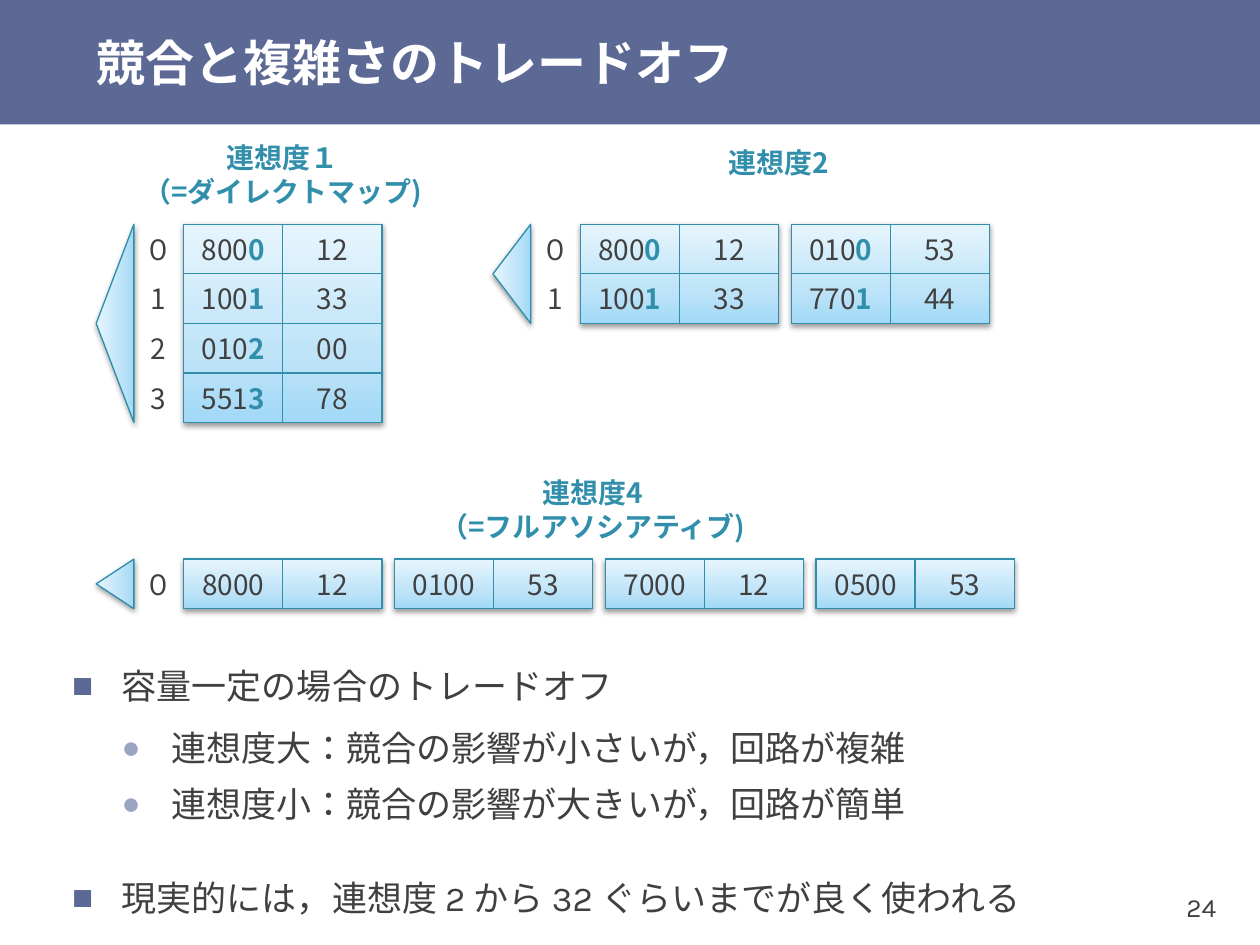
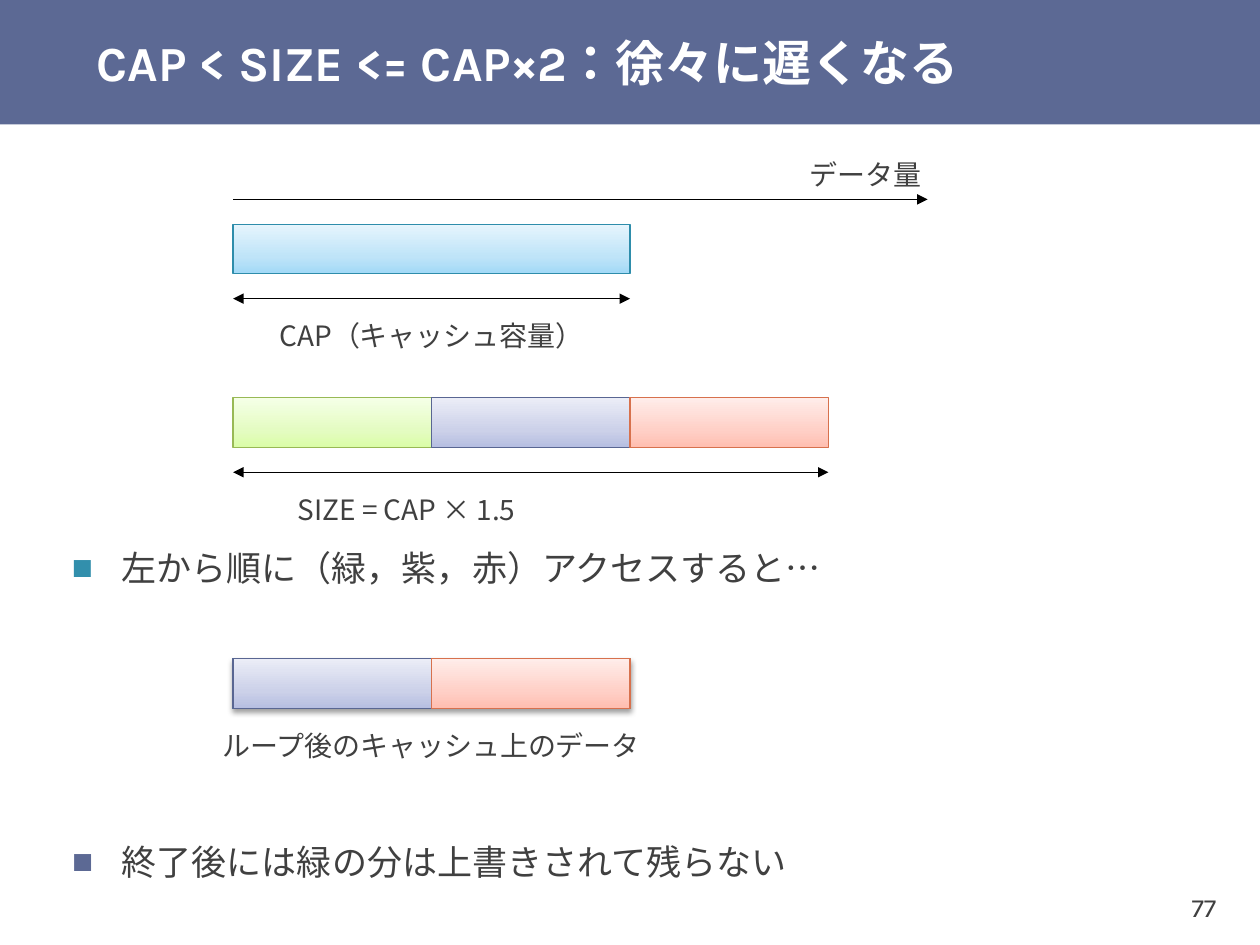
from dataclasses import dataclass

from lxml import etree
from pptx import Presentation
from pptx.dml.color import RGBColor
from pptx.enum.lang import MSO_LANGUAGE_ID
from pptx.enum.shapes import MSO_CONNECTOR, MSO_SHAPE
from pptx.enum.text import MSO_ANCHOR, MSO_AUTO_SIZE, PP_ALIGN
from pptx.oxml import parse_xml
from pptx.oxml.ns import nsdecls, qn
from pptx.util import Pt

PX = 3600  # EMU per px, so 100 px make one centimetre
RECTANGLE, TRIANGLE = MSO_SHAPE.RECTANGLE, MSO_SHAPE.ISOSCELES_TRIANGLE
STRAIGHT = MSO_CONNECTOR.STRAIGHT
LEFT, CENTER, RIGHT = PP_ALIGN.LEFT, PP_ALIGN.CENTER, PP_ALIGN.RIGHT
MIDDLE = MSO_ANCHOR.MIDDLE
NO_FIT = MSO_AUTO_SIZE.NONE
JAPANESE = MSO_LANGUAGE_ID.JAPANESE


@dataclass(frozen=True)
class Tint:
    """Gradient from bottom to top, with its outline."""
    bottom: str
    middle: str
    top: str
    outline: str


@dataclass(frozen=True)
class Theme:
    band: str = "5C6994"
    text: str = "404040"
    white: str = "FFFFFF"
    black: str = "000000"
    accent: str = "328FAC"
    sub_bullet: str = "9BA4C1"
    blue: Tint = Tint("A2D9F7", "BFE4F8", "E6F5FD", "2E8DAB")
    green: Tint = Tint("DAFDA7", "E4FCC2", "F5FFE7", "98B955")
    purple: Tint = Tint("B6BEE1", "CCD1E9", "EBEDF7", "596692")
    red: Tint = Tint("FFBEB0", "FFD0C7", "FFEDEA", "D7714D")
    main_font: str = "Karla"
    figure_font: str = "Noto Sans CJK JP"
    title_size: int = 28
    body_size: int = 20
    figure_size: int = 16
    number_size: int = 15
    line_width: float = 0.75


# Figure grid
UNIT = 100          # row height
CELL = 200          # cell width
WAY_PITCH = 425     # from one way to the next
BAR_LEFT = 470


class Deck:
    def __init__(self, theme):
        self.theme = theme
        self.presentation = Presentation()
        self.presentation.slide_width = 2540 * PX
        self.presentation.slide_height = 1905 * PX
        self.slide = None

    # Shared slide parts
    def add_slide(self, title, number):
        theme = self.theme
        layout = self.presentation.slide_layouts[1]
        self.slide = self.presentation.slides.add_slide(layout)
        band = self.shape(RECTANGLE, 0, 0, 2540, 251)
        band.fill.solid()
        band.fill.fore_color.rgb = RGBColor.from_string(theme.band)
        band.line.fill.background()
        self.slide.shapes._spTree.insert(2, band._element)

        heading = self.slide.shapes.title
        self.place(heading, 170, 0, 2370, 251)
        frame = heading.text_frame
        frame.margin_top = frame.margin_bottom = 0
        self.set_text(frame, [title], theme.main_font, theme.title_size,
                      theme.white, bold=True, align=LEFT)
        frame.word_wrap = True

        box = self.text_box(2270, 1753, 200, 152)
        box.text_frame.margin_left = box.text_frame.margin_right = 18 * PX
        self.set_text(box.text_frame, [str(number)], theme.main_font,
                      theme.number_size, theme.text, align=RIGHT)

    # Building blocks
    def place(self, shape, left, top, width, height):
        shape.left, shape.top = left * PX, top * PX
        shape.width, shape.height = width * PX, height * PX

    def shape(self, kind, left, top, width, height):
        shape = self.slide.shapes.add_shape(
            kind, left * PX, top * PX, width * PX, height * PX)
        shape.shadow.inherit = False
        return shape

    def text_box(self, left, top, width, height):
        return self.slide.shapes.add_textbox(
            left * PX, top * PX, width * PX, height * PX)

    def outline(self, shape, color):
        shape.line.color.rgb = RGBColor.from_string(color)
        shape.line.width = Pt(self.theme.line_width)

    def set_font(self, paragraph, name, size, color, bold=False):
        font = paragraph.font
        font.name, font.size, font.bold = name, Pt(size), bold
        font.color.rgb = RGBColor.from_string(color)
        font.language_id = JAPANESE

    def set_text(self, frame, lines, name, size, color, bold=False, align=CENTER):
        frame.word_wrap = False
        frame.auto_size = NO_FIT
        frame.vertical_anchor = MIDDLE
        for index, line in enumerate(lines):
            paragraph = frame.add_paragraph() if index else frame.paragraphs[0]
            paragraph.add_run().text = line
            paragraph.alignment = align
            if len(lines) > 1:
                paragraph.line_spacing = Pt(19)
            self.set_font(paragraph, name, size, color, bold)

    def label(self, left, top, *lines, width=CELL, heading=False):
        theme = self.theme
        box = self.text_box(left, top, width, UNIT)
        self.set_text(box.text_frame, lines, theme.figure_font, theme.figure_size,
                      theme.accent if heading else theme.text, bold=heading)

    # Bulleted lists
    def bullets(self, frame, items, marker_color=None):
        theme = self.theme
        frame.word_wrap = True
        frame.auto_size = NO_FIT
        frame.vertical_anchor = MIDDLE
        for index, (level, text) in enumerate(items):
            paragraph = frame.add_paragraph() if index else frame.paragraphs[0]
            paragraph.add_run().text = text
            paragraph.level = level
            paragraph.line_spacing = 1.1
            paragraph.space_before = Pt((3 if level else 24) if index else 0)
            paragraph.space_after = Pt(3 if level else 6)
            color = theme.sub_bullet if level else marker_color or theme.band
            properties = paragraph._p.get_or_add_pPr()
            properties.set("marL", str((level + 1) * UNIT * PX))
            properties.set("indent", str(-UNIT * PX))
            marker = etree.SubElement(properties, qn("a:buClr"))
            etree.SubElement(marker, qn("a:srgbClr"), val=color)
            etree.SubElement(properties, qn("a:buSzPct"),
                             val="90000" if level else "100000")
            etree.SubElement(properties, qn("a:buFont"), typeface="Arial")
            etree.SubElement(properties, qn("a:buChar"),
                             char="●" if level else "■")
            self.set_font(paragraph, theme.main_font, theme.body_size, theme.text)

    def body(self, top, items):
        placeholder = self.slide.placeholders[1]
        self.place(placeholder, 120, top, 2250, 176)
        self.bullets(placeholder.text_frame, items)

    # Figure elements
    def panel(self, left, top, width, height, tint, kind=RECTANGLE, shadow=False):
        shape = self.shape(kind, left, top, width, height)
        shape.fill.background()
        self.outline(shape, tint.outline)
        stops = "".join(
            f'<a:gs pos="{position}"><a:srgbClr val="{color}"/></a:gs>'
            for position, color in ((0, tint.bottom), (35000, tint.middle),
                                    (100000, tint.top)))
        gradient = parse_xml(
            f'<a:gradFill {nsdecls("a")} rotWithShape="1"><a:gsLst>{stops}'
            '</a:gsLst><a:lin ang="16200000" scaled="1"/></a:gradFill>')
        properties = shape._element.spPr
        properties.replace(properties.find(qn("a:noFill")), gradient)
        if shadow:
            properties.find(qn("a:effectLst")).append(parse_xml(
                f'<a:outerShdw {nsdecls("a")} blurRad="40000" dist="20000" '
                'dir="5400000" rotWithShape="0"><a:srgbClr val="000000">'
                '<a:alpha val="38000"/></a:srgbClr></a:outerShdw>'))
        return shape

    def cell(self, left, top, text, index=""):
        theme = self.theme
        shape = self.shape(RECTANGLE, left, top, CELL, UNIT)
        shape.fill.background()
        self.outline(shape, theme.accent)
        self.set_text(shape.text_frame, [text], theme.figure_font,
                      theme.figure_size, theme.text)
        if index:
            run = shape.text_frame.paragraphs[0].add_run()
            run.text = index
            run.font.bold = True
            run.font.color.rgb = RGBColor.from_string(theme.accent)

    def cache(self, left, top, ways, indexed=True):
        """Decoder, row numbers and one two-column block per way."""
        rows = len(ways[0])
        height = rows * UNIT
        for way, entries in enumerate(ways):
            way_left = left + way * WAY_PITCH
            self.panel(way_left, top, 2 * CELL, height, self.theme.blue, shadow=True)
            for row, (tag, data) in enumerate(entries):
                row_top = top + row * UNIT
                self.cell(way_left, row_top, tag, str(row) if indexed else "")
                self.cell(way_left + CELL, row_top, data)
        for row in range(rows):
            self.label(left - UNIT, top + row * UNIT, str(row) if row else "０",
                       width=UNIT)
        # The decoder is turned about its centre
        depth = 76
        decoder = self.panel(left - 138 - height // 2, top + (height - depth) // 2,
                             height, depth, self.theme.blue, TRIANGLE, shadow=True)
        decoder.rotation = 270

    def arrow(self, left, right, y, both=True):
        connector = self.slide.shapes.add_connector(
            STRAIGHT, left * PX, y * PX, right * PX, y * PX)
        self.outline(connector, self.theme.black)
        properties = connector._element.spPr
        line = properties.find(qn("a:ln"))
        for end in ("headEnd", "tailEnd") if both else ("tailEnd",):
            etree.SubElement(line, qn(f"a:{end}"), type="triangle")
        etree.SubElement(properties, qn("a:effectLst"))


def build_tradeoff(deck):
    deck.add_slide("競合と複雑さのトレードオフ", 24)
    deck.body(1503, [
        (0, "容量一定の場合のトレードオフ"),
        (1, "連想度大：競合の影響が小さいが，回路が複雑"),
        (1, "連想度小：競合の影響が大きいが，回路が簡単"),
        (0, "現実的には，連想度 2 から 32 ぐらいまでが良く使われる"),
    ])
    # Caches of equal capacity
    deck.cache(370, 452, [[("800", "12"), ("100", "33"),
                           ("010", "00"), ("551", "78")]])
    deck.cache(1170, 452, [[("800", "12"), ("100", "33")],
                           [("010", "53"), ("770", "44")]])
    deck.cache(370, 1127, [[("8000", "12")], [("0100", "53")],
                           [("7000", "12")], [("0500", "53")]], indexed=False)
    # Headings
    deck.label(470, 302, "連想度１", "（=ダイレクトマップ)", heading=True)
    deck.label(1470, 277, "連想度2", heading=True)
    deck.label(1095, 977, "連想度4", "（=フルアソシアティブ)", heading=True)


def build_slowdown(deck):
    theme = deck.theme
    cap, half = 800, 400
    deck.add_slide("CAP < SIZE <= CAP×2：徐々に遅くなる", 77)
    deck.body(1644, [(0, "終了後には緑の分は上書きされて残らない")])

    # Cache capacity
    deck.panel(BAR_LEFT, 452, cap, UNIT, theme.blue)
    deck.arrow(BAR_LEFT, 1870, 402, both=False)
    deck.label(1645, 302, "データ量")
    deck.arrow(BAR_LEFT, BAR_LEFT + cap, 602)
    deck.label(770, 627, "CAP（キャッシュ容量）")

    # Accessed data, then what stays in the cache
    deck.panel(BAR_LEFT, 1328, cap, UNIT, theme.blue, shadow=True)
    for top, tints in ((802, (theme.green, theme.purple, theme.red)),
                       (1328, (theme.purple, theme.red))):
        for index, tint in enumerate(tints):
            deck.panel(BAR_LEFT + index * half, top, half, UNIT, tint)
    deck.arrow(BAR_LEFT, BAR_LEFT + 3 * half, 952)
    deck.label(720, 977, "SIZE = CAP × 1.5")
    deck.label(770, 1453, "ループ後のキャッシュ上のデータ")

    access_order = deck.text_box(120, 1052, 2250, 176)
    deck.bullets(access_order.text_frame,
                 [(0, "左から順に（緑，紫，赤）アクセスすると…")], theme.accent)


def main():
    deck = Deck(Theme())
    build_tradeoff(deck)
    build_slowdown(deck)
    deck.presentation.save("out.pptx")


if __name__ == "__main__":
    main()
